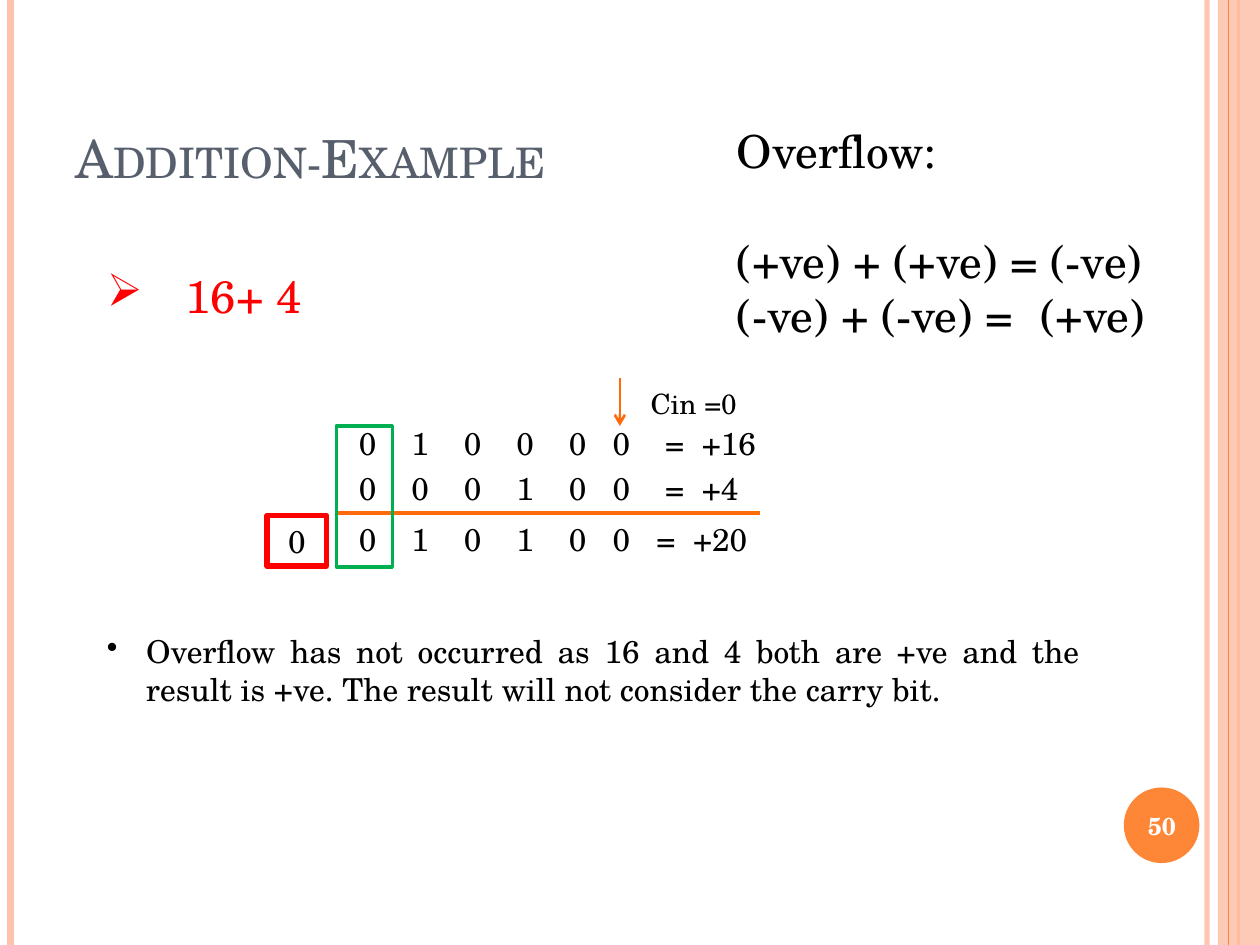
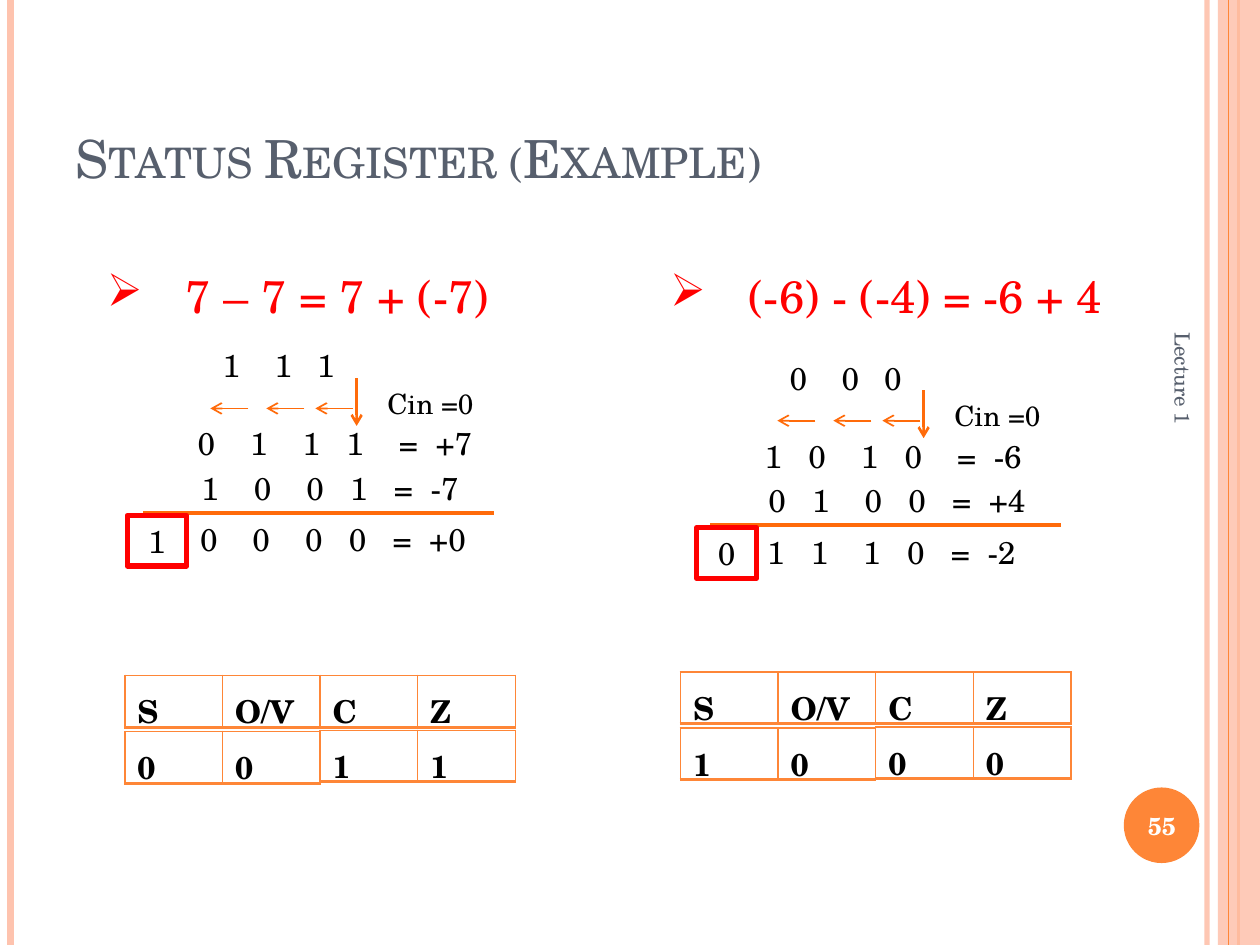
"""Build two slides on binary addition, overflow and the status register."""
from itertools import accumulate

from lxml import etree
from pptx import Presentation
from pptx import util as u
from pptx.dml import color as dml
from pptx.enum import shapes, text
from pptx.oxml import ns

Pt = u.Pt
FONT = "TeX Gyre Schola"
COLORS = {
    "band": "FEC3AE", "accent": "FE8637", "rule": "FF6B0A", "title": "575F6D",
    "ink": "000000", "white": "FFFFFF", "carry": "FF0000", "sign": "00B050",
}
ALIGN = text.PP_ALIGN
ANCHOR = text.MSO_ANCHOR


def rgb(name):
    return dml.RGBColor.from_string(COLORS[name])


def child(parent, tag, **attributes):
    return etree.SubElement(parent, ns.qn(tag), attributes)


def set_alpha(element, percent):
    child(next(element.iter(ns.qn("a:srgbClr"))), "a:alpha", val=str(percent * 1000))


class Deck:
    """Holds the presentation, its style and the current slide."""

    def __init__(self):
        self.prs = Presentation()
        self.prs.slide_width, self.prs.slide_height = Pt(720), Pt(540)
        self.slide = None

    def start(self, title, number):
        self.slide = self.prs.slides.add_slide(self.prs.slide_layouts[6])
        edge = self.line(689.8, 0, 689.8, 540, "band", 3)
        set_alpha(edge.line._ln, 93)
        self.line(6, 0, 6, 540, "band", 4.5)
        self.line(707.8, 0, 707.8, 540, "accent", 1.5)
        band = self.shape(shapes.MSO_SHAPE.RECTANGLE, 696, 0, 24, 540, fill="band")
        set_alpha(band._element.spPr, 87)
        self.line(702, 0, 702, 540, "accent", 0.75)
        self.shape(shapes.MSO_SHAPE.OVAL, 642.2, 450, 43.2, 43.2, fill="accent")
        self.text(36, 21.6, 588, 90, [title], 30, "title", anchor=ANCHOR.BOTTOM, caps=True)
        self.text(640, 451.4, 48, 41, [number], 14, "white", bold=True,
                  anchor=ANCHOR.MIDDLE, align=ALIGN.CENTER)

    def line(self, x1, y1, x2, y2, color, width, arrow=False):
        line = self.slide.shapes.add_connector(
            shapes.MSO_CONNECTOR.STRAIGHT, Pt(x1), Pt(y1), Pt(x2), Pt(y2))
        line.line.color.rgb = rgb(color)
        line.line.width = Pt(width)
        if arrow:
            child(line.line._ln, "a:tailEnd", type="arrow")
        child(line._element.spPr, "a:effectLst")
        return line

    def shape(self, kind, x, y, w, h, fill=None, outline=None, width=1):
        shape = self.slide.shapes.add_shape(kind, Pt(x), Pt(y), Pt(w), Pt(h))
        shape.shadow.inherit = False
        if fill:
            shape.fill.solid()
            shape.fill.fore_color.rgb = rgb(fill)
        else:
            shape.fill.background()
        if outline:
            shape.line.color.rgb = rgb(outline)
            shape.line.width = Pt(width)
        else:
            shape.line.fill.background()
        return shape

    def run(self, paragraph, words, size, color="ink", bold=False, caps=False):
        run = paragraph.add_run()
        run.text = words
        run.font.name, run.font.size, run.font.bold = FONT, Pt(size), bold
        run.font.color.rgb = rgb(color)
        if caps:
            run._r.get_or_add_rPr().set("cap", "small")

    def text(self, x, y, w, h, lines, size=18, color="ink", bold=False, caps=False,
             align=ALIGN.LEFT, anchor=ANCHOR.TOP, bullet=None, indent=0, stops=()):
        box = self.slide.shapes.add_textbox(Pt(x), Pt(y), Pt(w), Pt(h))
        frame = box.text_frame
        frame.word_wrap = True
        frame.vertical_anchor = anchor
        for index, words in enumerate(lines):
            paragraph = frame.add_paragraph() if index else frame.paragraphs[0]
            paragraph.alignment = align
            props = paragraph._p.get_or_add_pPr()
            if bullet:
                props.set("marL", str(Pt(indent)))
                props.set("indent", str(-Pt(indent)))
                child(props, "a:buChar", char=bullet)
            if stops:
                tabs = child(props, "a:tabLst")
                for stop in stops:
                    child(tabs, "a:tab", pos=str(Pt(stop)), algn="l")
            self.run(paragraph, words, size, color, bold, caps)
        return box

    def problem(self, x, words):
        self.text(x, 149.8, 278, 38.9, [words], 26, "carry", bullet="➢", indent=45)

    def addition(self, top, rule, cin, rows, carry_x, carry):
        for offset, (x, width, bits, value, gaps) in zip((0, 25.2, 54.8), rows):
            self.text(x, top + offset, width, 29, ["\t".join([*bits, "=", value])],
                      stops=list(accumulate(gaps)))
        self.line(rule[0], top + 54, rule[1], top + 54, "rule", 2.25)
        self.line(cin, top - 23, cin, top + 4.4, "rule", 1.5, arrow=True)
        self.text(cin + 10.5, top - 21.6, 75, 26.6, ["Cin =0"], 16)
        carry_out = self.shape(shapes.MSO_SHAPE.RECTANGLE, carry_x, top + 55.5, 34, 29,
                               outline="carry", width=3)
        paragraph = carry_out.text_frame.paragraphs[0]
        paragraph.alignment = ALIGN.CENTER
        self.run(paragraph, carry, 18)

    def carries(self, x, top, bit):
        for arrow, digit in ((0, 0), (32, 29.6), (60, 54)):
            self.line(x + arrow + 21.8, top + 39, x + arrow, top + 39, "rule", 1, arrow=True)
            self.text(x + digit, top, 18, 29, [bit])

    def table(self, x, y, labels):
        width, height = 55.8, 29.5
        frame = self.slide.shapes.add_table(
            1, len(labels), Pt(x), Pt(y), Pt(width * len(labels)), Pt(height))
        table = frame.table
        table.first_row = table.horz_banding = False
        for cell, label in zip(table.rows[0].cells, labels):
            cell.margin_top, cell.margin_bottom = Pt(6.5), 0
            for side, weight in (("L", 1), ("R", 1), ("T", 1), ("B", 2)):
                border = child(cell._tc.get_or_add_tcPr(), "a:ln" + side, w=str(Pt(weight)))
                child(child(border, "a:solidFill"), "a:srgbClr", val=COLORS["accent"])
            cell.fill.background()
            self.run(cell.text_frame.paragraphs[0], label, 18, bold=True)

    def status(self, x, y, flags):
        self.table(x, y, ["S", "O/V", "C", "Z"])
        for column, flag in enumerate(flags):
            lift = 0.7 if column > 1 else 0
            self.table(x + 55.8 * column, y + 32 - lift, [flag])


def overflow_slide(deck):
    deck.start("Addition-Example", "50")
    deck.problem(54, "16+ 4")
    wide, narrow = (30, 30, 30, 30, 25, 30, 21), (30, 30, 30, 30, 25, 25, 21)
    deck.addition(239, (192.2, 434.2), 354.2, [
        (198, 336, "010000", "+16", wide),
        (198, 234, "000100", "+4", wide),
        (198, 246, "010100", "+20", narrow),
    ], 152.6, "0")
    deck.text(54, 357.8, 570, 51, [
        "Overflow has not occurred as 16 and 4 both are +ve and the result is +ve. "
        "The result will not consider the carry bit."],
        align=ALIGN.JUSTIFY, bullet="•", indent=22.5)
    rules = deck.text(414, 67, 264, 133, [
        "Overflow:", "(+ve) + (+ve) = (-ve)", "(-ve) + (-ve) =\t(+ve)"], 26, stops=[173.5])
    rules.text_frame.paragraphs[1].space_before = Pt(31.2)
    deck.shape(shapes.MSO_SHAPE.RECTANGLE, 192.2, 243.4, 32, 80.6, outline="sign", width=2)


def status_slide(deck):
    deck.start("Status Register (Example)", "55")
    lecture = deck.text(550, 294.5, 252, 28.8, ["Lecture 1"], 12, "title", anchor=ANCHOR.MIDDLE)
    lecture.rotation = 90
    examples = [
        (0, 0, "7 – 7 = 7 + (-7)", 54, "1", 72.7, "1", (30, 30, 25),
         [("0111", "+7"), ("1001", "-7"), ("0000", "+0")], 71.3, 386, "0011"),
        (324, 7, "(-6) - (-4) = -6 + 4", 375.8, "0", 74.2, "0", (25, 30, 25),
         [("1010", "-6"), ("0100", "+4"), ("1110", "-2")], 388.8, 384, "1000"),
    ]
    for (dx, dy, question, question_x, carry_in, carry_x, carry_out, bit_gaps,
         sums, status_x, status_y, flags) in examples:
        deck.problem(question_x, question)
        rows = [(x + dx, width, bits, value, (*bit_gaps, equals, 21))
                for (x, width, equals), (bits, value)
                in zip(((105.8, 176, 30), (108, 168, 25), (107.2, 192, 25)), sums)]
        deck.addition(239 + dy, (82 + dx, 282.2 + dx), 203.8 + dx, rows,
                      carry_x + dx, carry_out)
        deck.carries(120.2 + dx, 194.4 + dy, carry_in)
        deck.status(status_x, status_y, flags)


def main():
    deck = Deck()
    overflow_slide(deck)
    status_slide(deck)
    deck.prs.save("out.pptx")


if __name__ == "__main__":
    main()
